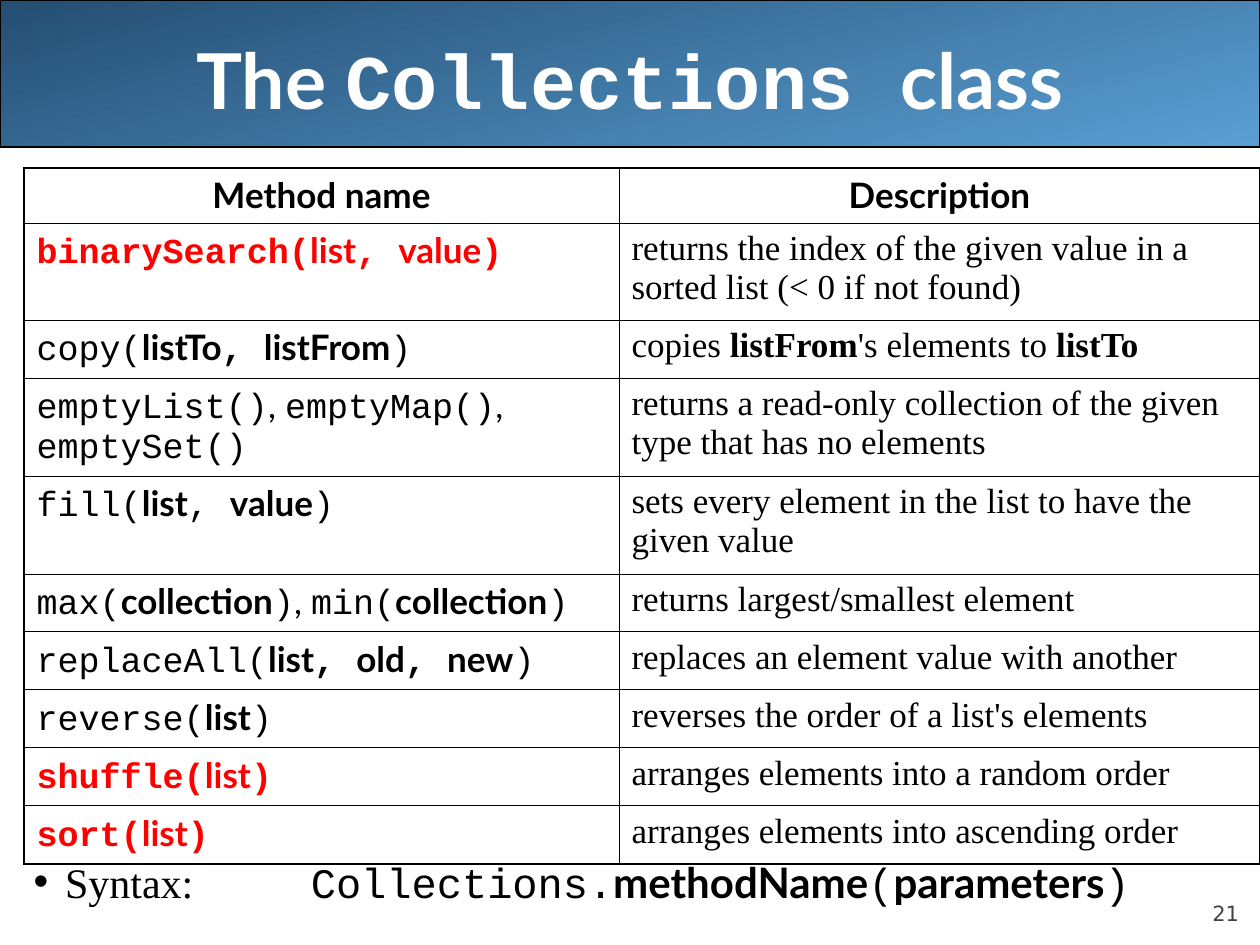
from pptx import Presentation
from pptx.dml.color import RGBColor
from pptx.enum.shapes import MSO_SHAPE as Shape
from pptx.enum.text import MSO_ANCHOR as Anchor, MSO_AUTO_SIZE as AutoSize, PP_ALIGN as Align
from pptx.oxml.ns import qn
from pptx.util import Emu, Inches, Pt
from lxml.etree import SubElement

BLACK, WHITE = RGBColor(0, 0, 0), RGBColor(255, 255, 255)
RED, GRAY = RGBColor(255, 0, 0), RGBColor(0x42, 0x42, 0x42)
NAVY, SKY = RGBColor(0x24, 0x4E, 0x72), RGBColor(0x5A, 0x9F, 0xD4)

# Run styles: lower case is regular, upper case is bold
FONTS = {"m": "Courier New", "l": "Lato", "s": "Times New Roman", "d": "DejaVu Sans"}

# Content: each run is (style, text)
TITLE = [("L", "The "), ("M", "Collections "), ("L", "class")]
SYNTAX = [("s", "Syntax:\t"), ("m", " Collections."), ("L", "methodName"),
          ("m", "("), ("L", "parameters"), ("m", ")")]
PAGE_NUMBER = [("d", "21")]
HEADINGS = ["Method name", "Description"]

# Row height, colour of the method, method runs, description runs
METHODS = [
    (97, RED, [("M", "binarySearch("), ("L", "list"), ("M", ", "), ("L", "value"), ("M", ")")],
     [("s", "returns the index of the given value in a sorted list (< 0 if not found)")]),
    (58, BLACK, [("m", "copy("), ("L", "listTo"), ("M", ", "), ("L", "listFrom"), ("m", ")")],
     [("s", "copies "), ("S", "listFrom"), ("s", "'s elements to "), ("S", "listTo")]),
    (98, BLACK, [("m", "emptyList()"), ("l", ", "), ("m", "emptyMap()"), ("l", ", \n"),
                 ("m", "emptySet()")],
     [("s", "returns a read-only collection of the given type that has no elements")]),
    (98, BLACK, [("m", "fill("), ("L", "list"), ("m", ", "), ("L", "value"), ("m", ")")],
     [("s", "sets every element in the list to have the given value")]),
    (57, BLACK, [("m", "max("), ("L", "collection"), ("m", ")"), ("l", ", "),
                 ("m", "min("), ("L", "collection"), ("m", ")")],
     [("s", "returns largest/smallest element")]),
    (58, BLACK, [("m", "replaceAll("), ("L", "list"), ("M", ", "), ("L", "old"), ("M", ", "),
                 ("L", "new"), ("m", ")")],
     [("s", "replaces an element value with another")]),
    (58, BLACK, [("m", "reverse("), ("L", "list"), ("m", ")")],
     [("s", "reverses the order of a list's elements")]),
    (58, RED, [("M", "shuffle("), ("L", "list"), ("M", ")")],
     [("s", "arranges elements into a random order")]),
    (58, RED, [("M", "sort("), ("L", "list"), ("M", ")")],
     [("s", "arranges elements into ascending order")]),
]
HEADER_HEIGHT = 55
COLUMNS = [595, 641]


def px(pixels):
    return Emu(round(pixels * 914400 / 126))


def place(shape, left, top, width, height):
    for name, value in dict(left=left, top=top, width=width, height=height).items():
        setattr(shape, name, px(value))


def set_format(target, **values):
    for name, value in values.items():
        setattr(target, name, value)


def write(para, runs, size, color, **paragraph_format):
    set_format(para, **paragraph_format)
    for style, text in runs:
        span = para.add_run()
        span.text = text.rstrip("\n")
        set_format(span.font, name=FONTS[style.lower()], size=Pt(size), bold=style.isupper())
        span.font.color.rgb = color
        if text.endswith("\n"):
            para.add_line_break()


def add_borders(cell, widths):
    properties = cell._tc.get_or_add_tcPr()
    for index, (side, width) in enumerate(widths.items()):
        line = SubElement(properties, qn("a:" + side), w=str(Pt(width)))
        fill = SubElement(line, qn("a:solidFill"))
        SubElement(fill, qn("a:srgbClr"), val=str(BLACK))
        properties.remove(line)
        properties.insert(index, line)


deck = Presentation()
set_format(deck, slide_width=Inches(10), slide_height=Inches(7.5))
page = deck.slides.add_slide(deck.slide_layouts[1])
title, body = page.placeholders

# Header band, behind the title
band = page.shapes.add_shape(Shape.RECTANGLE, 0, 0, px(1260), px(147))
band.shadow.inherit = False
band.fill.gradient()
band.fill.gradient_angle = 285
for stop, color in zip(band.fill.gradient_stops, (NAVY, SKY)):
    stop.color.rgb = color
band.line.color.rgb = BLACK
band.line.width = Pt(0.74)
page.shapes._spTree.insert(2, band._element)

# Title
place(title, 63, 0, 1134, 157)
set_format(title.text_frame, vertical_anchor=Anchor.MIDDLE, auto_size=AutoSize.NONE)
write(title.text_frame.paragraphs[0], TITLE, 44, WHITE, alignment=Align.CENTER)

# Syntax line
place(body, 21, 850, 1239, 73)
body.text_frame.auto_size = AutoSize.NONE
syntax = body.text_frame.paragraphs[0]
write(syntax, SYNTAX, 24, BLACK, space_before=Pt(6))
layout = syntax._p.get_or_add_pPr()
layout.set("marL", str(Inches(0.25)))
layout.set("indent", str(-Inches(0.25)))
SubElement(layout, qn("a:buChar"), char="•")
tabs = SubElement(layout, qn("a:tabLst"))
for inch in range(1, 9):
    SubElement(tabs, qn("a:tab"), pos=str(Inches(inch)), algn="l")

# Method table
heights = [HEADER_HEIGHT] + [method[0] for method in METHODS]
frame = page.shapes.add_table(len(heights), len(COLUMNS), px(24), px(168),
                              px(sum(COLUMNS)), px(sum(heights)))
table = frame.table
set_format(table, first_row=False, horz_banding=False)
for column, width in zip(table.columns, COLUMNS):
    column.width = px(width)
for row, height in zip(table.rows, heights):
    row.height = px(height)

for column, heading in enumerate(HEADINGS):
    write(table.cell(0, column).text_frame.paragraphs[0], [("L", heading)], 20, BLACK,
          alignment=Align.CENTER, space_before=Pt(5))
for row, (_, color, method, description) in enumerate(METHODS, 1):
    write(table.cell(row, 0).text_frame.paragraphs[0], method, 20, color, space_before=Pt(5))
    write(table.cell(row, 1).text_frame.paragraphs[0], description, 20, BLACK,
          space_before=Pt(5))

last_row, last_column = len(heights) - 1, len(COLUMNS) - 1
for row in range(len(heights)):
    for column in range(len(COLUMNS)):
        cell = table.cell(row, column)
        cell.fill.solid()
        cell.fill.fore_color.rgb = WHITE
        outer = dict(lnL=column == 0, lnR=column == last_column,
                     lnT=row == 0, lnB=row == last_row)
        add_borders(cell, {side: 1.08 if edge else 0.45 for side, edge in outer.items()})

# Page number
box = page.shapes.add_textbox(px(1134), px(876), px(105), px(50))
set_format(box.text_frame, word_wrap=True, vertical_anchor=Anchor.BOTTOM,
           margin_left=0, margin_right=0, margin_top=0, margin_bottom=0)
write(box.text_frame.paragraphs[0], PAGE_NUMBER, 12, GRAY, alignment=Align.RIGHT)

deck.save("out.pptx")
